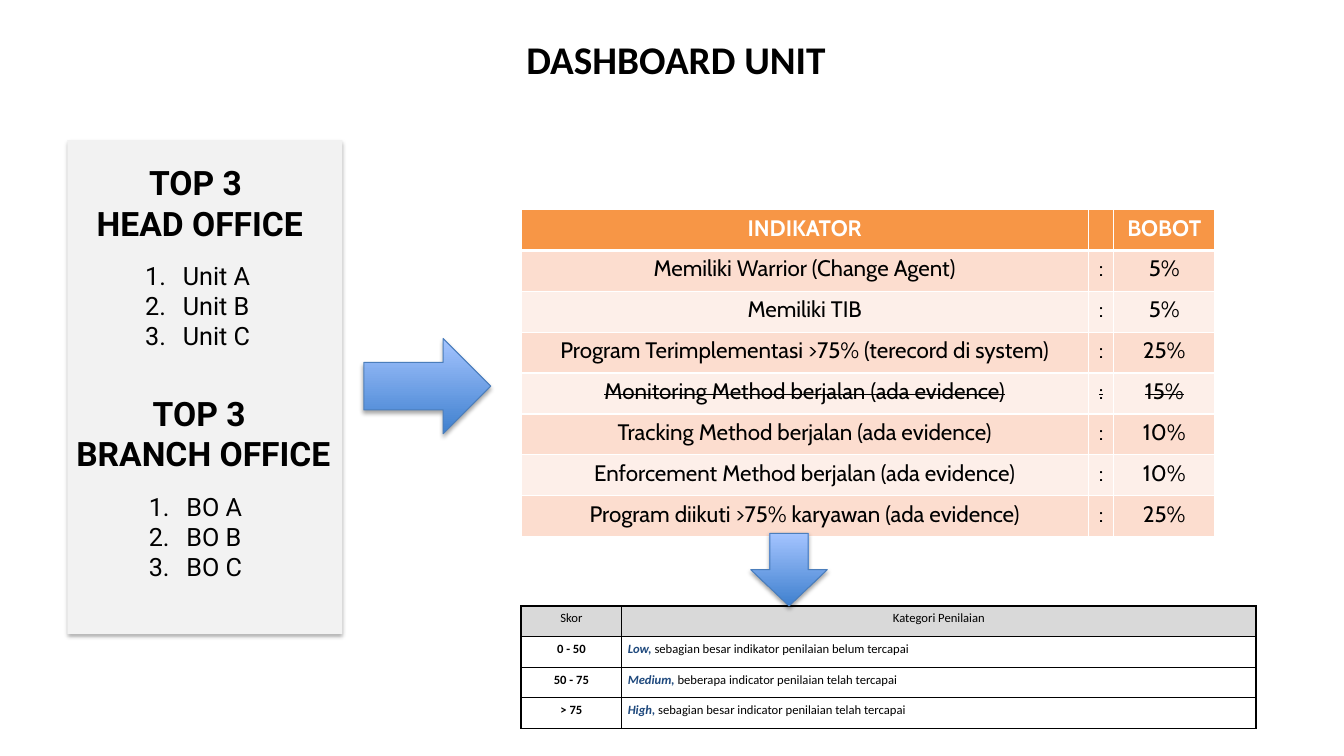
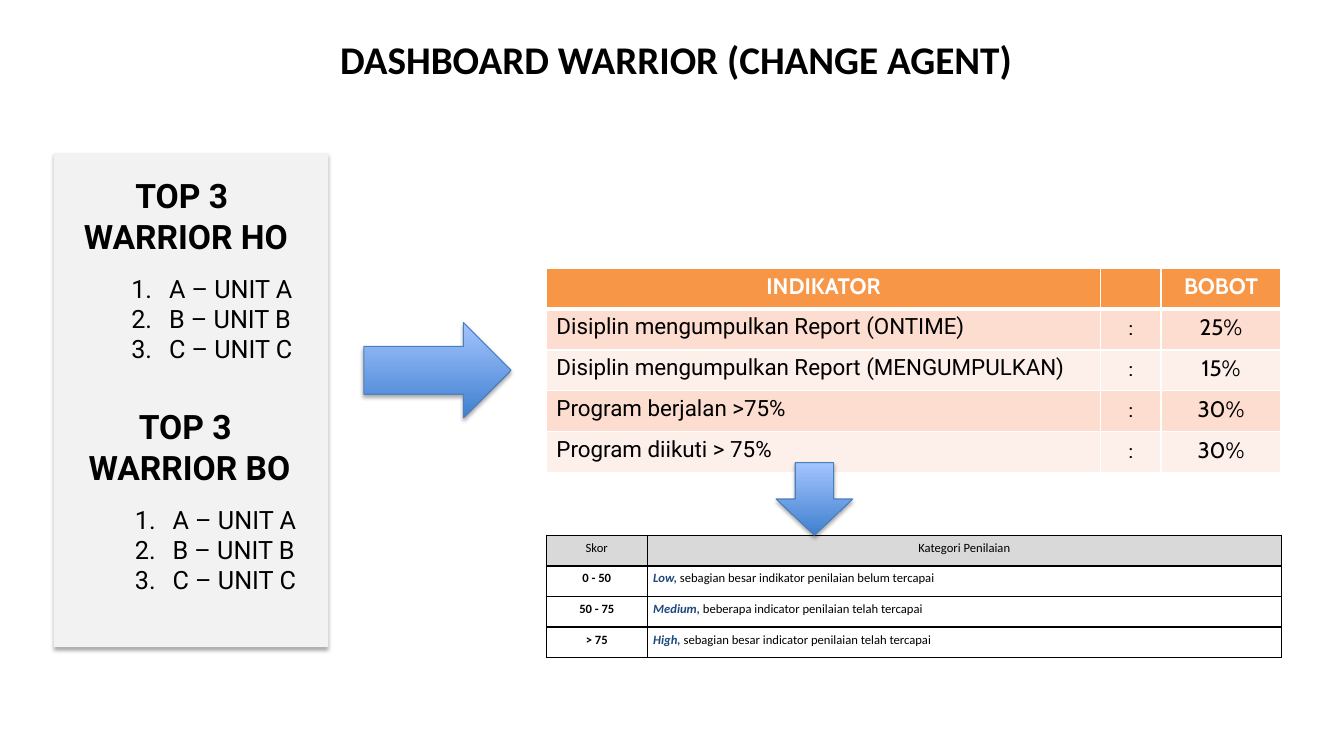
"""Build the unit and change agent dashboard slides."""
import lxml.etree
import pptx
import pptx.dml.color
import pptx.enum.shapes
import pptx.enum.text
import pptx.oxml
import pptx.oxml.ns
import pptx.util

Cm = pptx.util.Cm
Pt = pptx.util.Pt
RGBColor = pptx.dml.color.RGBColor
MSO_SHAPE = pptx.enum.shapes.MSO_SHAPE
AUTO_SIZE = pptx.enum.text.MSO_AUTO_SIZE
ALIGN = pptx.enum.text.PP_ALIGN
ANCHOR = pptx.enum.text.MSO_ANCHOR
qn = pptx.oxml.ns.qn

BLACK = RGBColor(0x00, 0x00, 0x00)
WHITE = RGBColor(0xFF, 0xFF, 0xFF)
PANEL_GREY = RGBColor(0xF2, 0xF2, 0xF2)
HEADER_GREY = RGBColor(0xD9, 0xD9, 0xD9)
ORANGE = RGBColor(0xF7, 0x96, 0x46)
BAND_DARK = RGBColor(0xFC, 0xDD, 0xCF)
BAND_LIGHT = RGBColor(0xFD, 0xEF, 0xE9)
NAVY = RGBColor(0x1F, 0x49, 0x7D)
ARROW_DARK = RGBColor(0x3F, 0x80, 0xCE)
ARROW_LIGHT = RGBColor(0xA4, 0xC4, 0xFF)
ARROW_EDGE = RGBColor(0x4B, 0x7E, 0xBC)

SHADOW = (
    '<a:outerShdw xmlns:a="http://schemas.openxmlformats.org/drawingml/2006/main" '
    'blurRad="39370" dist="22860" dir="5400000" rotWithShape="0">'
    '<a:srgbClr val="000000"><a:alpha val="35000"/></a:srgbClr></a:outerShdw>'
)
SCORE_WIDTHS = [2.54, 15.98]
SCORES = [
    ("0 - 50", "Low, ", "sebagian besar indikator penilaian belum tercapai"),
    ("50 - 75", "Medium, ", "beberapa indicator penilaian telah tercapai"),
    ("> 75", "High, ", "sebagian besar indicator penilaian telah tercapai"),
]
DASHBOARDS = [
    {
        "title": "DASHBOARD UNIT",
        "panel": (1.7, 3.53),
        "rankings": [
            ("HEAD OFFICE", 3.23, ["Unit A", "Unit B", "Unit C"]),
            ("BRANCH OFFICE", 2.9, ["BO A", "BO B", "BO C"]),
        ],
        "arrow": (8.53, 3.2),
        "tables_left": 13.13,
        "indicator_top": 5.28,
        "indicator_widths": [14.3, 0.64, 2.54],
        "indicator_font": "Cabin",
        "indicator_align": ALIGN.CENTER,
        "indicators": [
            ("Memiliki Warrior (Change Agent)", "5%"),
            ("Memiliki TIB", "5%"),
            ("Program Terimplementasi >75% (terecord di system)", "25%"),
            ("Monitoring Method berjalan (ada evidence)", "15%"),
            ("Tracking Method berjalan (ada evidence)", "10%"),
            ("Enforcement Method berjalan (ada evidence)", "10%"),
            ("Program diikuti >75% karyawan (ada evidence)", "25%"),
        ],
        "dropped": "Monitoring Method berjalan (ada evidence)",
        "score_top": 15.27,
    },
    {
        "title": "DASHBOARD WARRIOR (CHANGE AGENT)",
        "panel": (1.35, 3.86),
        "rankings": [
            ("WARRIOR HO", 4.67, ["A – UNIT A", "B – UNIT B", "C – UNIT C"]),
            ("WARRIOR BO", 4.67, ["A – UNIT A", "B – UNIT B", "C – UNIT C"]),
        ],
        "arrow": (8.13, 3.71),
        "tables_left": 13.77,
        "indicator_top": 6.76,
        "indicator_widths": [13.97, 1.52, 3.02],
        "indicator_font": "Roboto",
        "indicator_align": ALIGN.LEFT,
        "indicators": [
            ("Disiplin mengumpulkan Report (ONTIME)", "25%"),
            ("Disiplin mengumpulkan Report (MENGUMPULKAN)", "15%"),
            ("Program berjalan >75%", "30%"),
            ("Program diikuti > 75%", "30%"),
        ],
        "dropped": None,
        "score_top": 13.49,
    },
]


def write_run(paragraph, text, font, size, color=BLACK, bold=False, italic=False):
    """Add one formatted run."""
    run = paragraph.add_run()
    run.text = text
    run.font.name = font
    run.font.size = Pt(size)
    run.font.color.rgb = color
    run.font.bold = bold
    run.font.italic = italic
    return run


def add_grid(slide, left, top, widths, row_height, row_count, edge, header_rule):
    """Add an unstyled table with ruled cells."""
    grid = slide.shapes.add_table(
        row_count, len(widths), Cm(left), Cm(top),
        Cm(sum(widths)), Cm(row_height * row_count)).table
    grid.first_row = False
    grid.horz_banding = False
    for column, width in zip(grid.columns, widths):
        column.width = Cm(width)
    for row_index, row in enumerate(grid.rows):
        row.height = Cm(row_height)
        rules = {"lnL": 1, "lnR": 1,
                 "lnT": header_rule if row_index == 1 else 1,
                 "lnB": header_rule if row_index == 0 else 1}
        for cell in row.cells:
            properties = cell._tc.get_or_add_tcPr()
            for side, points in rules.items():
                rule = lxml.etree.SubElement(properties, qn("a:" + side), w=str(Pt(points)))
                paint = lxml.etree.SubElement(rule, qn("a:solidFill"))
                lxml.etree.SubElement(paint, qn("a:srgbClr"), val=str(edge))
    return grid


deck = pptx.Presentation()
deck.slide_width = Cm(33.87)
deck.slide_height = Cm(19.05)

for dashboard in DASHBOARDS:
    slide = deck.slides.add_slide(deck.slide_layouts[5])
    title = slide.shapes.title
    title.left, title.top, title.width, title.height = Cm(0.1), Cm(0.76), Cm(33.87), Cm(1.45)
    title.text_frame.vertical_anchor = ANCHOR.TOP
    title.text_frame.auto_size = AUTO_SIZE.SHAPE_TO_FIT_TEXT
    title.text_frame.paragraphs[0].alignment = ALIGN.CENTER
    write_run(title.text_frame.paragraphs[0], dashboard["title"], "Calibri", 28, bold=True)

    panel_left, panel_top = dashboard["panel"]
    panel = slide.shapes.add_shape(
        MSO_SHAPE.RECTANGLE, Cm(panel_left), Cm(panel_top), Cm(6.93), Cm(12.45))
    panel.fill.solid()
    panel.fill.fore_color.rgb = PANEL_GREY
    panel.line.fill.background()

    for index, (group, list_width, members) in enumerate(dashboard["rankings"]):
        group_left = panel_left + index * 0.09
        group_top = panel_top + index * 5.82
        heading = slide.shapes.add_textbox(
            Cm(group_left - 0.17), Cm(group_top + 0.43), Cm(7.01), Cm(2.31)).text_frame
        heading.word_wrap = True
        heading.auto_size = AUTO_SIZE.SHAPE_TO_FIT_TEXT
        ranking = slide.shapes.add_textbox(
            Cm(group_left + 1.71), Cm(group_top + 2.9), Cm(list_width), Cm(2.57)).text_frame
        ranking.word_wrap = False
        ranking.auto_size = AUTO_SIZE.SHAPE_TO_FIT_TEXT
        for position, line in enumerate(["TOP 3 ", group]):
            paragraph = heading.add_paragraph() if position else heading.paragraphs[0]
            paragraph.alignment = ALIGN.CENTER
            write_run(paragraph, line, "Roboto", 24, bold=True)
        for position, member in enumerate(members):
            paragraph = ranking.add_paragraph() if position else ranking.paragraphs[0]
            properties = paragraph._p.get_or_add_pPr()
            properties.set("marL", str(Cm(0.95)))
            properties.set("indent", str(-Cm(0.95)))
            lxml.etree.SubElement(properties, qn("a:buAutoNum"), type="arabicPeriod")
            write_run(paragraph, member, "Roboto", 18)

    tables_left = dashboard["tables_left"]
    indicators = dashboard["indicators"]
    weights = add_grid(slide, tables_left, dashboard["indicator_top"],
                       dashboard["indicator_widths"], 1.03, len(indicators) + 1, WHITE, 3)
    weight_rows = [("INDIKATOR", "", "BOBOT")]
    weight_rows += [(name, ":", weight) for name, weight in indicators]
    for row_index, texts in enumerate(weight_rows):
        is_header = row_index == 0
        band = BAND_DARK if row_index % 2 else BAND_LIGHT
        for column_index, text in enumerate(texts):
            is_name = column_index == 0 and not is_header
            cell = weights.cell(row_index, column_index)
            cell.fill.solid()
            cell.fill.fore_color.rgb = ORANGE if is_header else band
            paragraph = cell.text_frame.paragraphs[0]
            paragraph.alignment = dashboard["indicator_align"] if is_name else ALIGN.CENTER
            if text:
                run = write_run(paragraph, text,
                                dashboard["indicator_font"] if is_name else "Cabin", 16,
                                WHITE if is_header else BLACK, bold=is_header)
                if texts[0] == dashboard["dropped"]:
                    run._r.get_or_add_rPr().set("strike", "sngStrike")

    score_top = dashboard["score_top"]
    scores = add_grid(slide, tables_left, score_top, SCORE_WIDTHS, 0.77,
                      len(SCORES) + 1, BLACK, 1)
    for cell in scores.iter_cells():
        cell.margin_left = cell.margin_right = Cm(0.15)
        cell.fill.background()
    for column_index, label in enumerate(["Skor", "Kategori Penilaian"]):
        cell = scores.cell(0, column_index)
        cell.fill.solid()
        cell.fill.fore_color.rgb = HEADER_GREY
        cell.text_frame.paragraphs[0].alignment = ALIGN.CENTER
        write_run(cell.text_frame.paragraphs[0], label, "Calibri", 9)
    for row_index, (interval, level, meaning) in enumerate(SCORES, 1):
        paragraph = scores.cell(row_index, 0).text_frame.paragraphs[0]
        paragraph.alignment = ALIGN.CENTER
        write_run(paragraph, interval, "Calibri", 9, bold=True)
        paragraph = scores.cell(row_index, 1).text_frame.paragraphs[0]
        write_run(paragraph, level, "Calibri", 9, NAVY, bold=True, italic=True)
        write_run(paragraph, meaning, "Calibri", 9)

    arrow_top, arrow_width = dashboard["arrow"]
    to_indicators = slide.shapes.add_shape(
        MSO_SHAPE.RIGHT_ARROW, Cm(9.17), Cm(arrow_top), Cm(arrow_width), Cm(2.4))
    to_scores = slide.shapes.add_shape(
        MSO_SHAPE.DOWN_ARROW, Cm(tables_left + 5.79), Cm(score_top - 1.83), Cm(1.93), Cm(1.83))
    for arrow in (to_indicators, to_scores):
        arrow.fill.gradient()
        arrow.fill.gradient_angle = 90
        for stop, color in zip(arrow.fill.gradient_stops, (ARROW_DARK, ARROW_LIGHT)):
            stop.color.rgb = color
        arrow.line.color.rgb = ARROW_EDGE
        arrow.line.width = Pt(0.75)
    for raised in (panel, to_indicators, to_scores):
        raised.shadow.inherit = False
        effects = raised._element.spPr.find(qn("a:effectLst"))
        effects.append(pptx.oxml.parse_xml(SHADOW))

deck.save("out.pptx")
